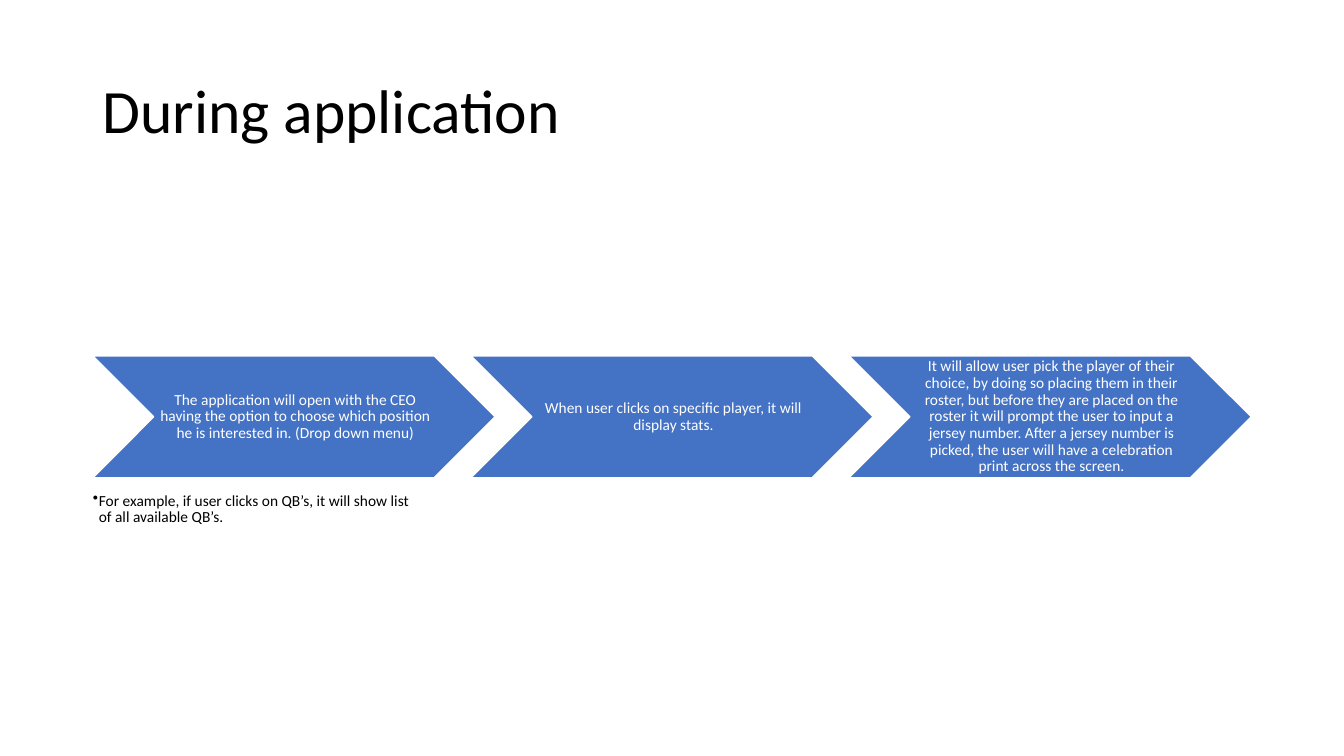
from pptx import Presentation
from pptx.dml.color import RGBColor
from pptx.enum.shapes import MSO_SHAPE as Shape
from pptx.enum.text import MSO_ANCHOR as Anchor, PP_ALIGN as Align
from pptx.oxml.ns import qn
from pptx.util import Inches, Pt
from lxml import etree

LEFT = 0.92
TOP = 3.53
PITCH = 3.75
STEPS = [
    "The application will open with the CEO having the option to choose "
    "which position he is interested in. (Drop down menu)",
    "When user clicks on specific player, it will display stats.",
    "It will allow user pick the player of their choice, by doing so placing "
    "them in their roster, but before they are placed on the roster it will "
    "prompt the user to input a jersey number. After a jersey number is "
    "picked, the user will have a celebration print across the screen.",
]
NOTE = ("For example, if user clicks on QB’s, it will show list "
        "of all available QB’s.")


def color(code):
    return RGBColor.from_string(code)


def write(shape, text, size, code, pads, align=Align.LEFT, anchor=Anchor.MIDDLE):
    frame = shape.text_frame
    frame.word_wrap = True
    frame.vertical_anchor = anchor
    (frame.margin_left, frame.margin_top,
     frame.margin_right, frame.margin_bottom) = map(Inches, pads)
    para = frame.paragraphs[0]
    para.alignment = align
    para.line_spacing = 0.9
    run = para.add_run()
    run.text = text
    run.font.name = "Calibri"
    run.font.size = Pt(size)
    run.font.color.rgb = color(code)
    return para


def add_title(slide, text):
    box = slide.shapes.add_textbox(
        Inches(LEFT), Inches(0.4), Inches(11.5), Inches(1.45))
    write(box, text, 44, "000000", (0.1, 0.05, 0.1, 0.05))


def add_step(slide, left, text):
    step = slide.shapes.add_shape(
        Shape.CHEVRON, Inches(left), Inches(TOP), Inches(3.99), Inches(1.21))
    step.shadow.inherit = False
    step.fill.solid()
    step.fill.fore_color.rgb = color("4472C4")
    step.line.color.rgb = color("FFFFFF")
    step.line.width = Pt(1)
    write(step, text, 11, "FFFFFF", (0.05, 0.02, 0.02, 0.02), Align.CENTER)


def add_note(slide, text):
    box = slide.shapes.add_textbox(
        Inches(LEFT), Inches(4.89), Inches(3.19), Inches(0.34))
    para = write(box, text, 11, "000000", (0, 0, 0, 0), anchor=Anchor.TOP)
    props = para._p.get_or_add_pPr()
    props.set("marL", str(Inches(0.06)))
    props.set("indent", str(Inches(-0.06)))
    etree.SubElement(props, qn("a:buChar")).set("char", "•")


def main():
    deck = Presentation()
    deck.slide_width = Inches(13.33)
    deck.slide_height = Inches(7.5)
    slide = deck.slides.add_slide(deck.slide_layouts[6])
    add_title(slide, "During application")
    for i, text in enumerate(STEPS):
        add_step(slide, LEFT + i * PITCH, text)
    add_note(slide, NOTE)
    deck.save("out.pptx")


if __name__ == "__main__":
    main()
